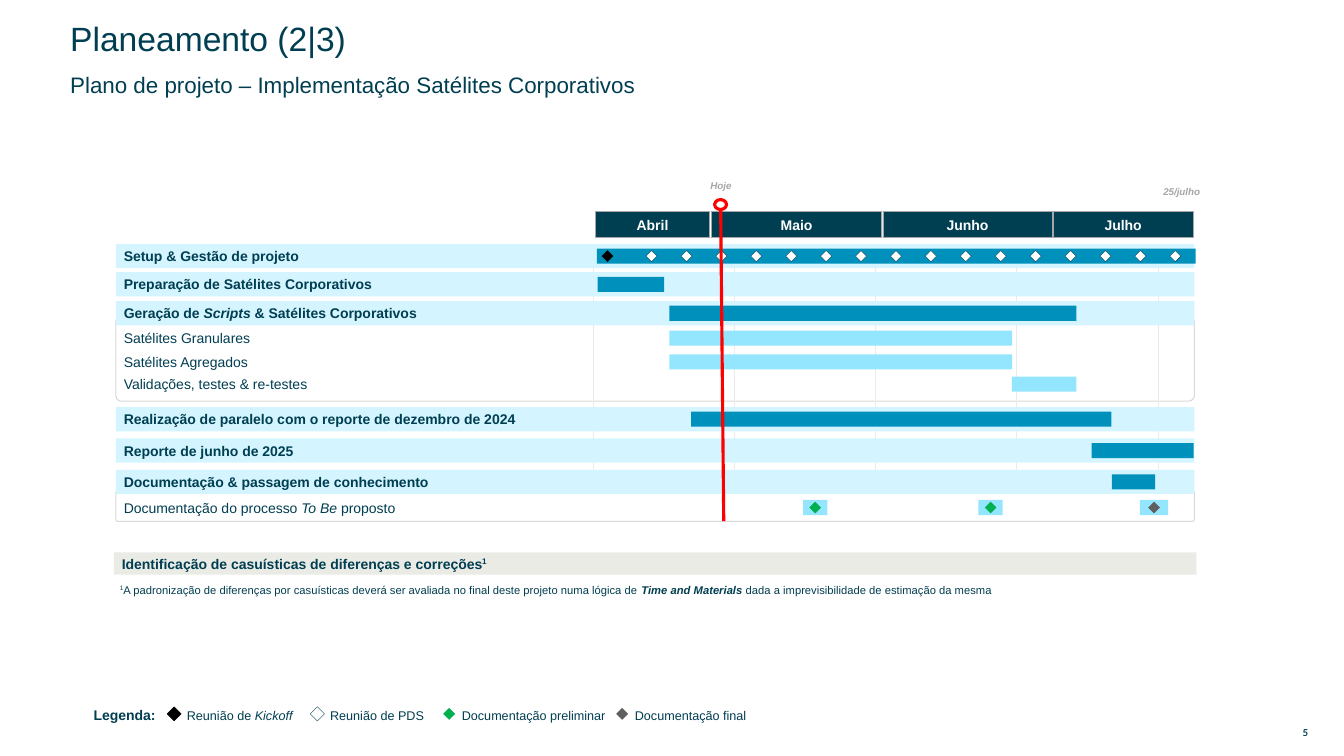
"""Build the project planning slide with its Gantt chart and legend."""
from lxml.etree import SubElement
from pptx import Presentation
from pptx.dml.color import RGBColor
from pptx.enum.shapes import MSO_CONNECTOR, MSO_SHAPE
from pptx.enum.text import MSO_ANCHOR, PP_ALIGN
from pptx.oxml.ns import qn
from pptx.util import Cm, Pt

COLORS = {
    "navy": "003E51", "blue": "0090BC", "sky": "94E6FF", "pale": "D4F5FF",
    "white": "FFFFFF", "black": "000000", "green": "00B050", "dark": "5F5F5F",
    "gray": "A6A6A6", "frame": "D9D9D9", "grid": "EBEBEB", "sand": "EBEBE6", "red": "FF0000",
}
BOLD = {"bold": True}
ITALIC = {"italic": True}
BOLD_ITALIC = {"bold": True, "italic": True}
SUPERSCRIPT = {"baseline": "30000"}

TITLES = [("Planeamento (2|3)", 0.69, 24), ("Plano de projeto – Implementação Satélites Corporativos", 1.85, 16)]
MONTHS = [("Abril", 15.01, 2.87), ("Maio", 17.93, 4.29), ("Junho", 22.25, 4.27), ("Julho", 26.54, 3.53)]
PHASES = [
    ([("Setup & Gestão de projeto", BOLD)], 6.15, 15.04, 15.09),
    ([("Preparação de Satélites Corporativos", BOLD)], 6.86, 15.06, 1.68),
    ([("Geração de ", BOLD), ("Scripts", BOLD_ITALIC), (" & Satélites Corporativos", BOLD)], 7.59, 16.87, 10.26),
    ([("Realização de paralelo com o reporte de dezembro de 2024", BOLD)], 10.26, 17.42, 10.59),
    ([("Reporte de junho de 2025", BOLD)], 11.05, 27.51, 2.57),
    ([("Documentação & passagem de conhecimento", BOLD)], 11.84, 28.02, 1.09),
]
TASKS = [
    ([("Satélites Granulares", {})], 8.52, [(16.87, 8.64, None)]),
    ([("Satélites Agregados", {})], 9.12, [(16.87, 8.64, None)]),
    ([("Validações, testes & re-testes", {})], 9.68, [(25.5, 1.63, None)]),
    ([("Documentação do processo ", {}), ("To Be", ITALIC), (" proposto", {})], 12.79,
     [(20.24, 0.61, "green"), (24.66, 0.61, "green"), (28.73, 0.71, "dark")]),
]
FRAMES = [(8.08, 2.03), (12.4, 0.74)]
DATE_LABELS = [("Hoje", 17.27, 4.39), ("25/julho", 28.88, 4.55)]
CASES = [("Identificação de casuísticas de diferenças e correções", BOLD), ("1", {**BOLD, **SUPERSCRIPT})]
FOOTNOTE = [
    ("1", SUPERSCRIPT),
    ("A padronização de diferenças por casuísticas deverá ser avaliada no final deste projeto numa lógica de ", {}),
    ("Time and Materials ", BOLD_ITALIC),
    ("dada a imprevisibilidade de estimação da mesma", {}),
]
LEGEND = [
    ([("Reunião de ", {}), ("Kickoff", ITALIC)], 4.39, 3.28, 0.36, "black", "black"),
    ([("Reunião de PDS", {})], 8.0, 3.28, 0.36, "white", "navy"),
    ([("Documentação preliminar", {})], 11.32, 4.29, 0.28, "green", "green"),
    ([("Documentação final", {})], 15.68, 3.58, 0.28, "dark", "dark"),
]
CHART_LEFT, CHART_WIDTH = 2.92, 27.18
BAND_HEIGHT, BAR_HEIGHT, MARK_SIZE = 0.61, 0.38, 0.28
GRID_LEFT, GRID_STEP, GRID_COUNT = 14.94, 3.56, 5
KICKOFF_X, MEETING_X, MEETING_STEP, MEETING_COUNT = 15.31, 16.42, 0.88, 16
LEGEND_MIDDLE = 17.99

presentation = Presentation()
presentation.slide_width, presentation.slide_height = Cm(33.87), Cm(19.05)
slide = presentation.slides.add_slide(presentation.slide_layouts[6])


def rgb(name):
    return RGBColor.from_string(COLORS[name])


def write(shape, runs, size, color="navy", align=PP_ALIGN.LEFT, anchor=MSO_ANCHOR.MIDDLE,
          margins=(0.25, 0.13, 0.25, 0.13), spacing=1.0, font="Arial"):
    frame = shape.text_frame
    left, top, right, bottom = (Cm(margin) for margin in margins)
    layout = {"word_wrap": True, "vertical_anchor": anchor, "margin_left": left,
              "margin_top": top, "margin_right": right, "margin_bottom": bottom}
    for name, value in layout.items():
        setattr(frame, name, value)
    paragraph = frame.paragraphs[0]
    paragraph.alignment, paragraph.line_spacing = align, spacing
    for text, style in runs:
        run = paragraph.add_run()
        run.text = text
        run.font.color.rgb = rgb(color)
        for name, value in {"name": font, "size": Pt(size), **style}.items():
            if name == "baseline":
                run.font._element.set(name, value)
            else:
                setattr(run.font, name, value)


def add_text(runs, left, top, width, height, size, **options):
    box = slide.shapes.add_textbox(Cm(left), Cm(top), Cm(width), Cm(height))
    write(box, runs, size, **options)


def add_box(kind, left, top, width, height, fill=None, line=None, weight=0.25):
    shape = slide.shapes.add_shape(kind, Cm(left), Cm(top), Cm(width), Cm(height))
    shape.shadow.inherit = False
    if fill:
        shape.fill.solid()
        shape.fill.fore_color.rgb = rgb(fill)
    else:
        shape.fill.background()
    if line:
        shape.line.color.rgb = rgb(line)
        shape.line.width = Pt(weight)
    else:
        shape.line.fill.background()
    return shape


def add_diamond(center, middle, fill, line, size=MARK_SIZE):
    add_box(MSO_SHAPE.DIAMOND, center - size / 2, middle - size / 2, size, size, fill, line)


def add_line(start, end, color, weight):
    points = (Cm(value) for value in (*start, *end))
    connector = slide.shapes.add_connector(MSO_CONNECTOR.STRAIGHT, *points)
    connector.line.color.rgb = rgb(color)
    connector.line.width = Pt(weight)
    SubElement(connector._element.spPr, qn("a:effectLst"))


def add_band(runs, left, top, width, height, fill):
    band = add_box(MSO_SHAPE.RECTANGLE, left, top, width, height, fill)
    write(band, runs, 10, margins=(0.2, 0.28, 0.2, 0.28))


def add_header():
    for text, top, size in TITLES:
        add_text([(text, {})], 1.52, top, 20.2, 0.66, size, spacing=0.9)
    add_text([("5", BOLD)], 32.33, 18.26, 1.14, 0.41, 6.8, align=PP_ALIGN.CENTER,
             margins=(0.15, 0.08, 0.15, 0.08), font="Lato")
    for month, left, width in MONTHS:
        cell = add_box(MSO_SHAPE.RECTANGLE, left, 5.33, width, 0.66, "navy", "gray")
        write(cell, [(month, BOLD)], 10, color="white", align=PP_ALIGN.CENTER, margins=(0, 0.13, 0, 0.13))


def add_schedule():
    for top, height in FRAMES:
        frame = add_box(MSO_SHAPE.ROUND_2_SAME_RECTANGLE, CHART_LEFT, top, CHART_WIDTH, height,
                        line="frame", weight=0.75)
        frame.adjustments[0], frame.adjustments[1] = 0, 0.07
    for index in range(GRID_COUNT):
        x = GRID_LEFT + index * GRID_STEP
        add_line((x, 6.15), (x, 12.45), "grid", 0.25)
    for runs, top, left, width in PHASES:
        add_band(runs, CHART_LEFT, top, CHART_WIDTH, BAND_HEIGHT, "pale")
        add_box(MSO_SHAPE.RECTANGLE, left, top + (BAND_HEIGHT - BAR_HEIGHT) / 2, width, BAR_HEIGHT, "blue")
    for runs, middle, bars in TASKS:
        add_text(runs, 2.87, middle - 0.28, 10.5, 0.56, 10)
        for left, width, mark in bars:
            add_box(MSO_SHAPE.RECTANGLE, left, middle - BAR_HEIGHT / 2, width, BAR_HEIGHT, "sky")
            if mark:
                add_diamond(left + width / 2, middle, mark, mark)
    meeting_middle = PHASES[0][1] + BAND_HEIGHT / 2
    add_diamond(KICKOFF_X, meeting_middle, "black", "black")
    for index in range(MEETING_COUNT):
        add_diamond(MEETING_X + index * MEETING_STEP, meeting_middle, "white", "navy")


def add_today():
    add_line((18.16, 5.13), (18.24, 13.13), "red", 2.25)
    add_box(MSO_SHAPE.OVAL, 18.01, 5.03, 0.3, 0.25, "white", "red", 2.25)
    for text, left, top in DATE_LABELS:
        add_text([(text, BOLD_ITALIC)], left, top, 1.8, 0.56, 7, color="gray", align=PP_ALIGN.CENTER,
                 anchor=MSO_ANCHOR.TOP, margins=(0, 0.13, 0, 0.13))


def add_notes_and_legend():
    options = {"anchor": MSO_ANCHOR.TOP, "spacing": 1.1}
    add_band(CASES, 2.87, 13.92, 27.28, 0.56, "sand")
    add_text(FOOTNOTE, 2.77, 14.53, 27.46, 0.61, 8, **options)
    add_text([("Legenda:", BOLD)], 2.11, 17.63, 2.11, 0.74, 10, **options)
    for runs, center, width, size, fill, line in LEGEND:
        add_diamond(center, LEGEND_MIDDLE, fill, line, size)
        add_text(runs, center + 0.07, 17.66, width, 0.69, 9, **options)


def main():
    add_header()
    add_schedule()
    add_today()
    add_notes_and_legend()
    presentation.save("out.pptx")


if __name__ == "__main__":
    main()
